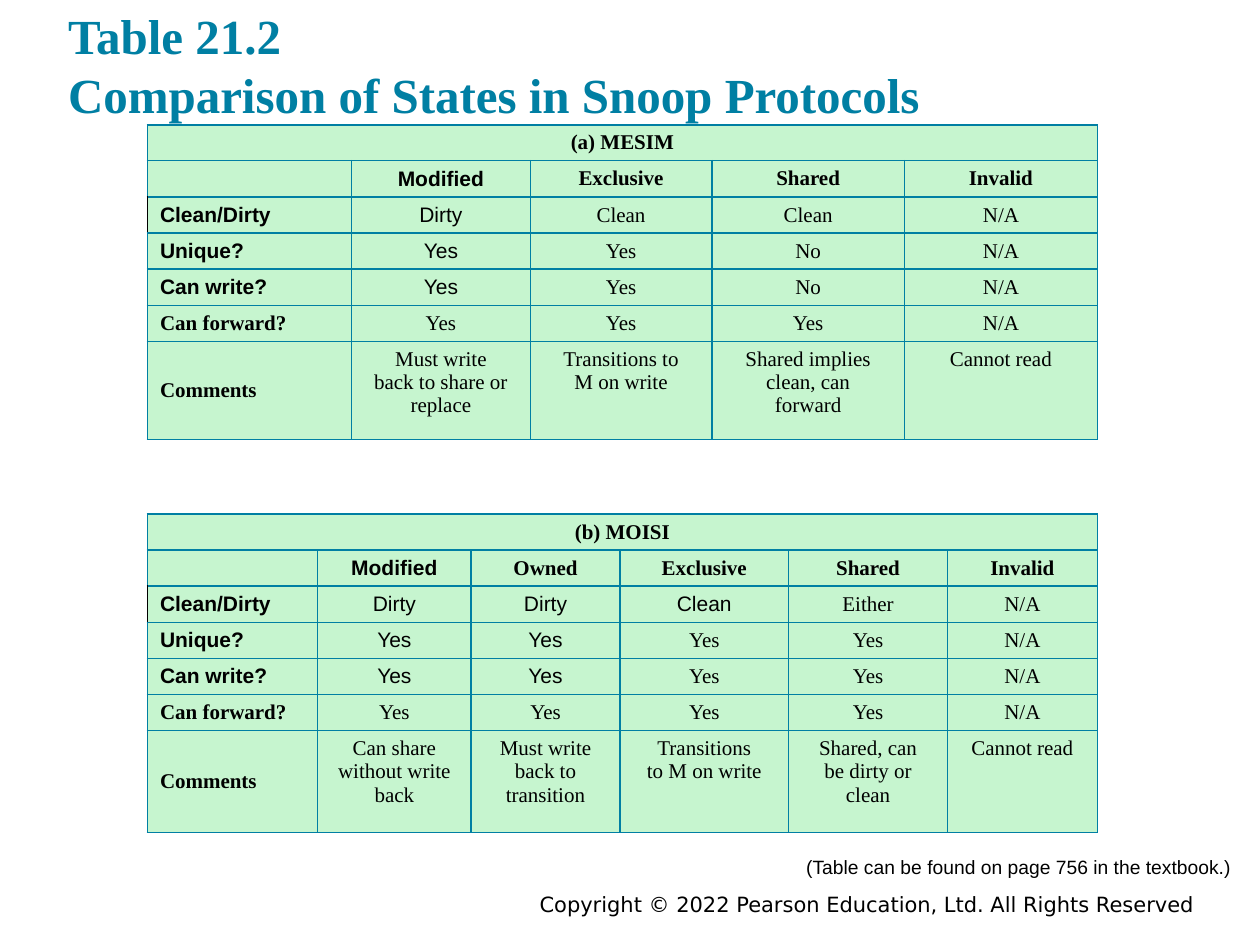
from dataclasses import dataclass

from lxml.etree import SubElement
from pptx import Presentation
from pptx.dml.color import RGBColor
from pptx.enum.text import MSO_ANCHOR as Anchor, MSO_AUTO_SIZE as AutoSize, PP_ALIGN as Align
from pptx.oxml.ns import qn
from pptx.util import Emu, Inches, Pt

TEAL = RGBColor(0x00, 0x7F, 0xA3)
MINT = RGBColor(0xC6, 0xF5, 0xCF)
BLACK = RGBColor(0, 0, 0)
SERIF, SANS, FOOTER = "Times New Roman", "Arial", "DejaVu Sans"
WIDTH, HEIGHT = Inches(10), Inches(7.5)
GRID_COLS, GRID_ROWS = 1000, 750


@dataclass(frozen=True)
class Box:
    left: int
    top: int
    width: int
    height: int

    def emu(self) -> tuple[Emu, Emu, Emu, Emu]:
        return across(self.left), down(self.top), across(self.width), down(self.height)


@dataclass(frozen=True)
class StateTable:
    box: Box
    caption: str
    columns: list[int]
    row_height: int
    comment_height: int
    sans_columns: list[int]
    rows: list[list[str]]


def across(columns: int) -> Emu:
    return Emu(WIDTH * columns // GRID_COLS)


def down(rows: int) -> Emu:
    return Emu(HEIGHT * rows // GRID_ROWS)


def style(p, font: str, size: float, color: RGBColor, bold: bool = False, align=Align.LEFT) -> None:
    p.alignment = align
    f = p.font
    f.name, f.size, f.bold = font, Pt(size), bold
    f.color.rgb = color


def set_borders(cell, left: RGBColor = TEAL) -> None:
    tc_pr = cell._tc.get_or_add_tcPr()
    for i, (side, color) in enumerate(zip("LRTB", (left, TEAL, TEAL, TEAL))):
        ln = tc_pr.makeelement(qn(f"a:ln{side}"), {"w": str(Pt(1))})
        fill = SubElement(ln, qn("a:solidFill"))
        SubElement(fill, qn("a:srgbClr"), val=str(color))
        tc_pr.insert(i, ln)


def add_state_table(slide, spec: StateTable) -> None:
    count = len(spec.columns)
    rows = [[spec.caption] + [""] * (count - 1)] + spec.rows
    last = len(rows) - 1
    table = slide.shapes.add_table(len(rows), count, *spec.box.emu()).table
    table.first_row = table.horz_banding = False
    for column, width in zip(table.columns, spec.columns):
        column.width = across(width)
    for i, row in enumerate(table.rows):
        row.height = down(spec.comment_height if i == last else spec.row_height)
    for i, texts in enumerate(rows):
        for j, text in enumerate(texts):
            cell = table.cell(i, j)
            cell.text = text
            cell.fill.solid()
            cell.fill.fore_color.rgb = MINT
            cell.vertical_anchor = Anchor.TOP if i == last and j else Anchor.MIDDLE
            set_borders(cell, BLACK if (i, j) == (2, 0) else TEAL)
            for p in cell.text_frame.paragraphs:
                style(p, SANS if j < spec.sans_columns[i] else SERIF, 12, BLACK,
                      bold=i < 2 or j == 0,
                      align=Align.LEFT if j == 0 and i else Align.CENTER)
    table.cell(0, 0).merge(table.cell(0, count - 1))


def add_note(slide, box: Box, text: str, font: str, size: float, align, wrap: bool) -> None:
    tf = slide.shapes.add_textbox(*box.emu()).text_frame
    tf.word_wrap = wrap
    tf.auto_size = AutoSize.NONE if wrap else AutoSize.SHAPE_TO_FIT_TEXT
    tf.text = text
    style(tf.paragraphs[0], font, size, BLACK, align=align)


def set_title(slide, box: Box, text: str) -> None:
    title = slide.shapes.title
    title.left, title.top, title.width, title.height = box.emu()
    tf = title.text_frame
    tf.margin_left = tf.margin_right = tf.margin_top = tf.margin_bottom = Inches(0.1)
    tf.vertical_anchor = Anchor.BOTTOM
    tf.word_wrap = True
    tf.auto_size = AutoSize.NONE
    tf.text = text
    style(tf.paragraphs[0], SERIF, 28, TEAL, bold=True)


MESIM = StateTable(
    Box(117, 99, 754, 258), "(a) MESIM", [162, 142, 144, 153, 153], 25, 78,
    [0, 2, 2, 2, 2, 0, 0],
    [
        ["", "Modified", "Exclusive", "Shared", "Invalid"],
        ["Clean/Dirty", "Dirty", "Clean", "Clean", "N/A"],
        ["Unique?", "Yes", "Yes", "No", "N/A"],
        ["Can write?", "Yes", "Yes", "No", "N/A"],
        ["Can forward?", "Yes", "Yes", "Yes", "N/A"],
        ["Comments", "Must write\nback to share or\nreplace", "Transitions to\nM on write",
         "Shared implies\nclean, can\nforward", "Cannot read"],
    ],
)
MOISI = StateTable(
    Box(117, 408, 754, 261), "(b) MOISI", [135, 122, 118, 134, 126, 119], 27, 81,
    [0, 2, 4, 3, 3, 0, 0],
    [
        ["", "Modified", "Owned", "Exclusive", "Shared", "Invalid"],
        ["Clean/Dirty", "Dirty", "Dirty", "Clean", "Either", "N/A"],
        ["Unique?", "Yes", "Yes", "Yes", "Yes", "N/A"],
        ["Can write?", "Yes", "Yes", "Yes", "Yes", "N/A"],
        ["Can forward?", "Yes", "Yes", "Yes", "Yes", "N/A"],
        ["Comments", "Can share\nwithout write\nback", "Must write\nback to\ntransition",
         "Transitions\vto M on write", "Shared, can\nbe dirty or\nclean", "Cannot read"],
    ],
)


def main() -> None:
    prs = Presentation()
    prs.slide_width, prs.slide_height = WIDTH, HEIGHT
    slide = prs.slides.add_slide(prs.slide_layouts[5])
    add_note(slide, Box(175, 703, 783, 22),
             "Copyright © 2022 Pearson Education, Ltd. All Rights Reserved",
             FOOTER, 12, Align.RIGHT, wrap=True)
    for spec in (MESIM, MOISI):
        add_state_table(slide, spec)
    add_note(slide, Box(630, 674, 373, 29),
             "(Table can be found on page 756 in the textbook.)",
             SANS, 11, Align.LEFT, wrap=False)
    set_title(slide, Box(44, -12, 900, 120),
              "Table 21.2\vComparison of States in Snoop Protocols")
    prs.save("out.pptx")


if __name__ == "__main__":
    main()
